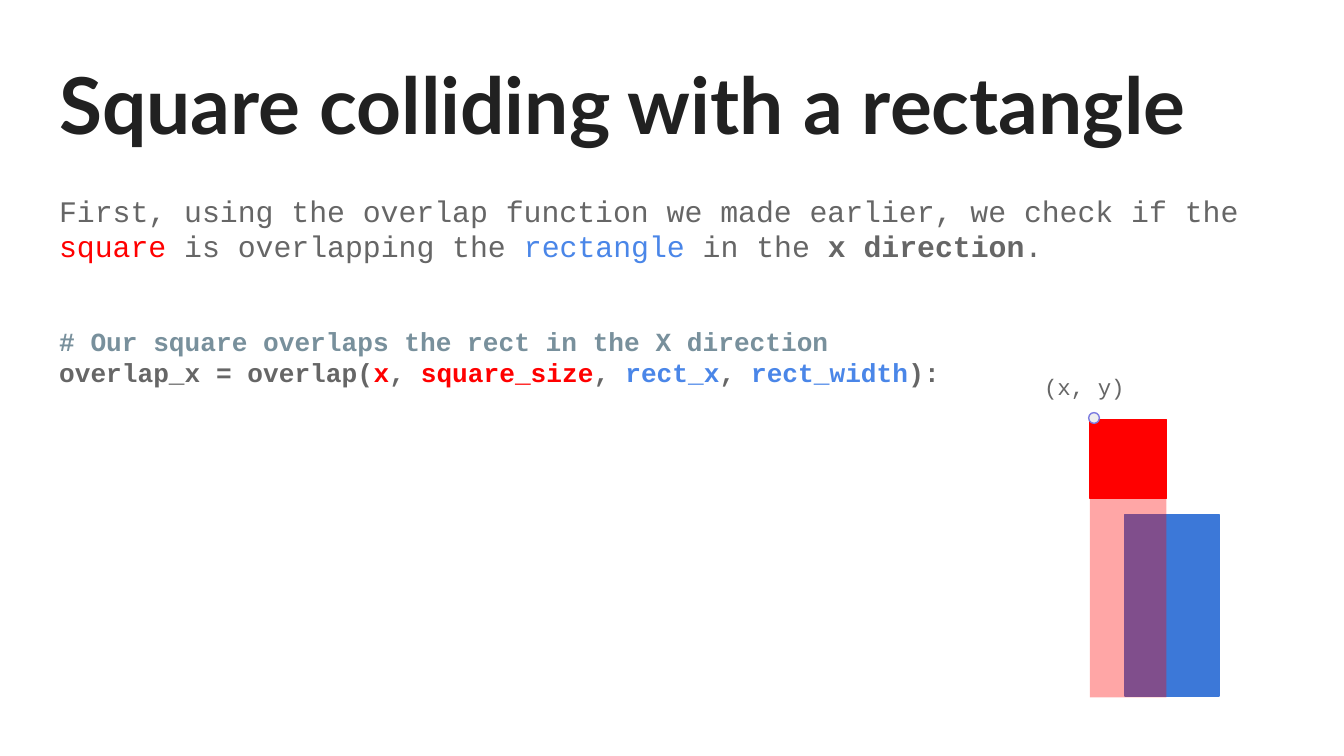
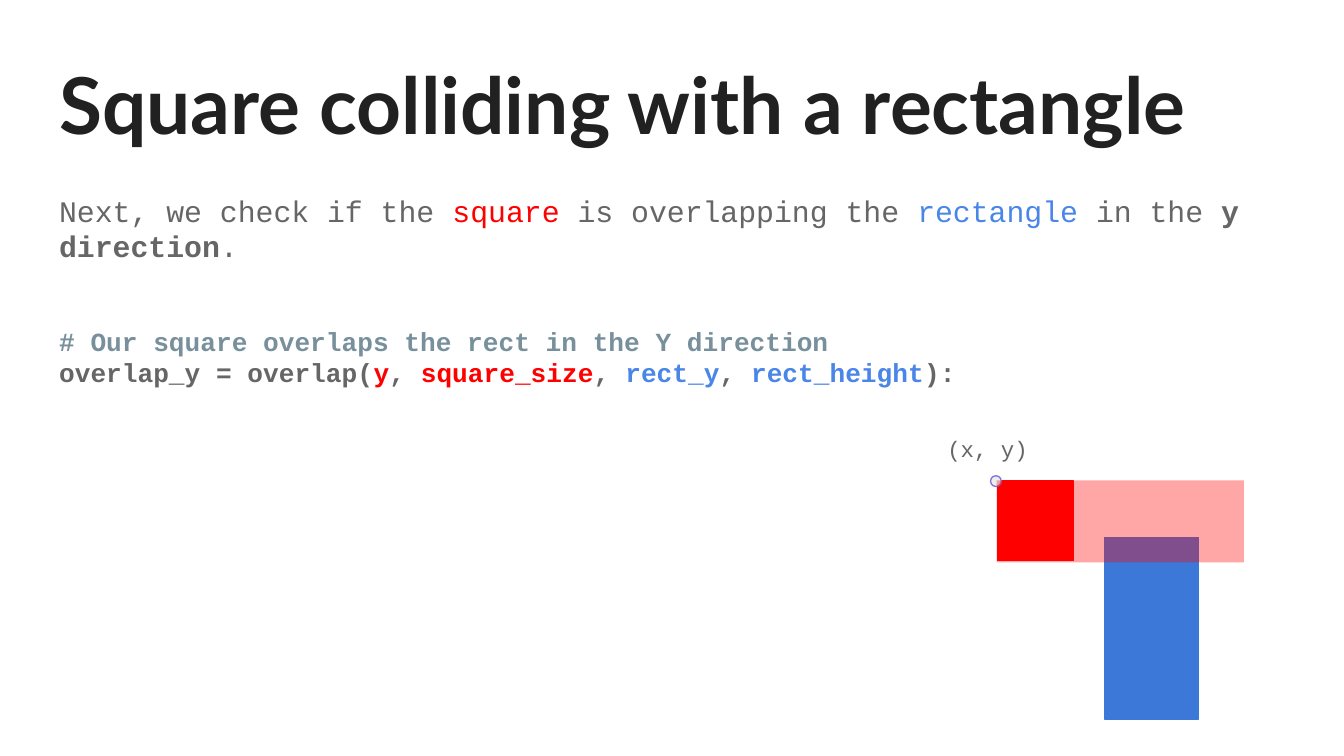
from dataclasses import dataclass

from lxml import etree
from pptx import Presentation
from pptx import util as u
from pptx.dml.color import RGBColor
from pptx.enum import shapes, text
from pptx.oxml import ns


@dataclass(frozen=True)
class Theme:
    title_font: str = "Lato"
    body_font: str = "Courier New"
    title_size: int = 42
    body_size: int = 16
    code_size: int = 14
    label_size: int = 12
    heading: str = "212121"
    body: str = "666666"
    comment: str = "78909C"
    square: str = "FF0000"
    rectangle_text: str = "4A86E8"
    rectangle: str = "3C78D8"
    dot: str = "EEEEEE"
    dot_line: str = "7C7CE0"
    background: str = "FFFFFF"


THEME = Theme()
TITLE = "Square colliding with a rectangle"
SQUARE_SIZE = (0.57, 0.59)
RECTANGLE_SIZE = (0.7, 1.35)
DOT_SIZE = (0.08, 0.08)
LABEL_SIZE = (0.93, 0.4)


def add_span(para, words, font=THEME.body_font, size=THEME.body_size,
             color=THEME.body, bold=False):
    span = para.add_run()
    span.text = words
    span.font.name = font
    span.font.size = u.Pt(size)
    span.font.bold = bold
    span.font.color.rgb = RGBColor.from_string(color)


def place(box, position, size):
    box.left, box.top = map(u.Inches, position)
    box.width, box.height = map(u.Inches, size)


def prepare_frame(box):
    frame = box.text_frame
    frame.word_wrap = True
    frame.auto_size = text.MSO_AUTO_SIZE.NONE
    frame.vertical_anchor = text.MSO_ANCHOR.TOP
    frame.margin_left = frame.margin_right = u.Inches(0.1)
    frame.margin_top = frame.margin_bottom = u.Inches(0.1)
    return frame


def format_para(para, after=0):
    para.alignment = text.PP_ALIGN.LEFT
    para.line_spacing = 1.0
    para.space_before = u.Pt(0)
    para.space_after = u.Pt(after)


def remove_bullet(para):
    properties = para._p.get_or_add_pPr()
    properties.set("marL", "0")
    properties.set("indent", "0")
    etree.SubElement(properties, ns.qn("a:buNone"))


def add_title(page):
    box = page.shapes.title
    place(box, (0.34, 0.32), (9.32, 0.88))
    para = prepare_frame(box).paragraphs[0]
    format_para(para)
    add_span(para, TITLE, font=THEME.title_font, size=THEME.title_size,
             color=THEME.heading, bold=True)


def add_body(page, intro, axis, extent, size):
    box = page.placeholders[1]
    place(box, (0.34, 1.33), size)
    frame = prepare_frame(box)
    square = {"color": THEME.square}
    rectangle = {"color": THEME.rectangle_text}
    sentence = [
        (intro, {}), ("square", square), (" is overlapping the ", {}),
        ("rectangle ", rectangle), ("in the ", {}),
        (f"{axis} direction", {"bold": True}), (".", {}),
    ]
    comment = [(f"# Our square overlaps the rect in the {axis.upper()} direction",
                {"color": THEME.comment})]
    call = [
        (f"overlap_{axis} = overlap(", {}), (axis, square), (", ", {}),
        ("square_size", square), (", ", {}), (f"rect_{axis}", rectangle),
        (", ", {}), (f"rect_{extent}", rectangle), ("):", {}),
    ]
    code = {"size": THEME.code_size, "bold": True}
    rows = [(sentence, {}, 33), (comment, code, 0), (call, code, 0)]
    for index, (spans, style, after) in enumerate(rows):
        para = frame.add_paragraph() if index else frame.paragraphs[0]
        format_para(para, after=after)
        remove_bullet(para)
        for words, accent in spans:
            add_span(para, words, **{**style, **accent})


def add_label(page, words, position):
    box = page.shapes.add_textbox(0, 0, 0, 0)
    place(box, position, LABEL_SIZE)
    para = prepare_frame(box).paragraphs[0]
    format_para(para)
    add_span(para, words, size=THEME.label_size)


def add_figure(page, position, size, fill, line=None, opacity=100, rotation=0,
               kind=shapes.MSO_SHAPE.RECTANGLE):
    figure = page.shapes.add_shape(kind, 0, 0, 0, 0)
    place(figure, position, size)
    figure.rotation = rotation
    figure.shadow.inherit = False
    figure.fill.solid()
    figure.fill.fore_color.rgb = RGBColor.from_string(fill)
    if line:
        figure.line.color.rgb = RGBColor.from_string(line)
        figure.line.width = u.Pt(0.75)
    else:
        figure.line.fill.background()
    if opacity < 100:
        color = figure._element.spPr.find(ns.qn("a:solidFill"))[0]
        alpha = etree.SubElement(color, ns.qn("a:alpha"))
        alpha.set("val", str(opacity * 1000))


def add_collision(page, rectangle, square, label, dot, sweep, sweep_size, rotation=0):
    add_figure(page, rectangle, RECTANGLE_SIZE, THEME.rectangle, line=THEME.rectangle)
    add_figure(page, square, SQUARE_SIZE, THEME.square, line=THEME.square)
    add_label(page, "(x, y)", label)
    add_figure(page, dot, DOT_SIZE, THEME.dot, line=THEME.dot_line,
               kind=shapes.MSO_SHAPE.OVAL)
    add_figure(page, sweep, sweep_size, THEME.square, opacity=35, rotation=rotation)


def add_page(deck, intro, axis, extent, body_size, **collision):
    page = deck.slides.add_slide(deck.slide_layouts[1])
    page.background.fill.solid()
    page.background.fill.fore_color.rgb = RGBColor.from_string(THEME.background)
    add_title(page)
    add_body(page, intro, axis, extent, body_size)
    add_collision(page, **collision)


def main():
    deck = Presentation()
    deck.slide_width = u.Inches(10)
    deck.slide_height = deck.slide_width * 9 // 16
    add_page(
        deck,
        "First, using the overlap function we made earlier, we check if the ",
        "x", "width", (9.42, 1.83),
        rectangle=(8.37, 3.83), square=(8.11, 3.12), label=(7.67, 2.68),
        dot=(8.1, 3.07), sweep=(8.11, 3.35), sweep_size=(0.57, 1.84),
    )
    add_page(
        deck, "Next, we check if the ", "y", "height", (9.46, 1.9),
        rectangle=(8.22, 4), square=(7.42, 3.58), label=(6.95, 3.14),
        dot=(7.37, 3.54), sweep=(8.03, 2.96), sweep_size=(0.61, 1.84), rotation=90,
    )
    deck.save("out.pptx")


if __name__ == "__main__":
    main()
